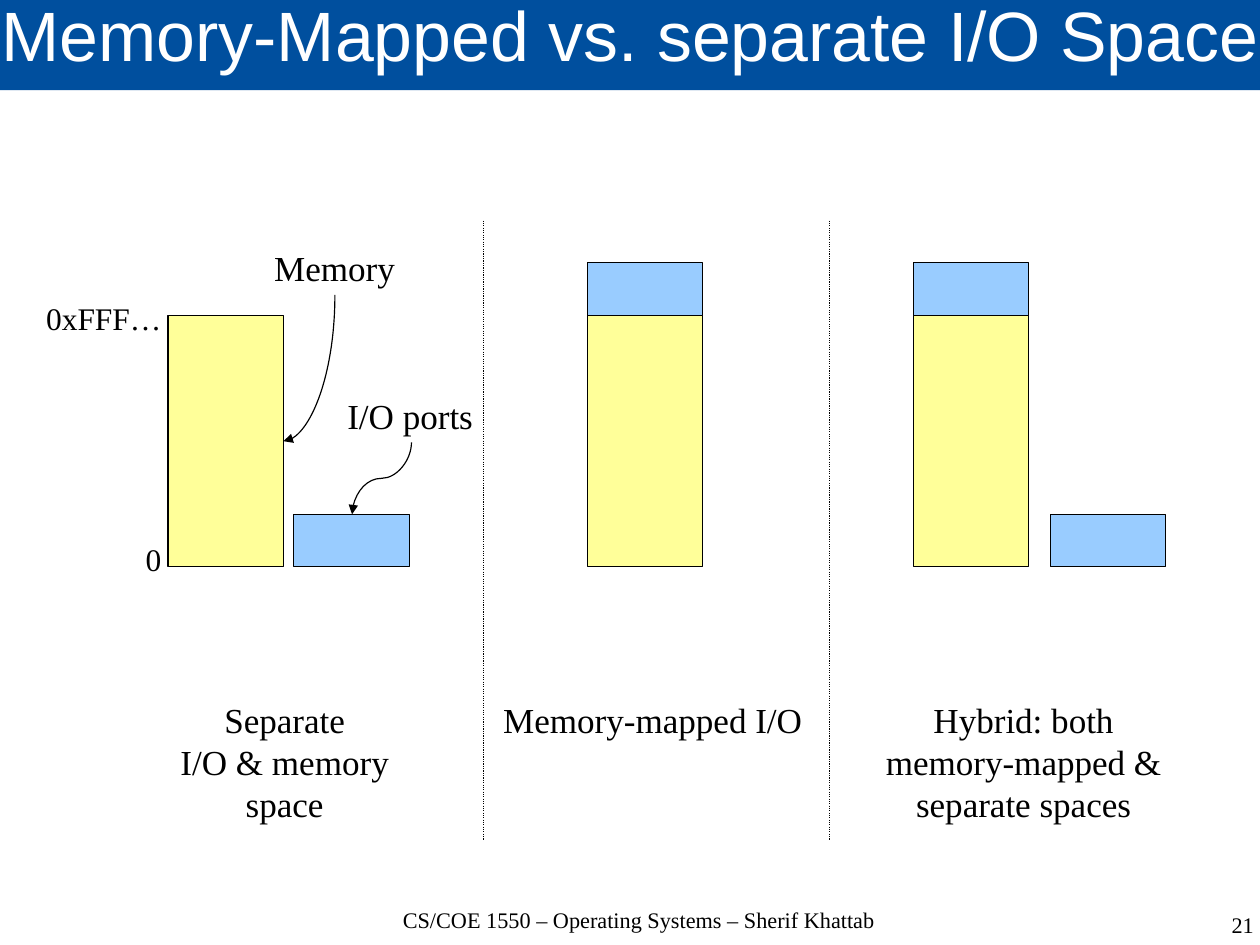
from dataclasses import dataclass

import lxml.etree
import pptx
import pptx.dml.color
import pptx.enum.dml
import pptx.enum.shapes
import pptx.enum.text
import pptx.oxml.ns
import pptx.util

Inches = pptx.util.Inches
Align = pptx.enum.text.PP_ALIGN
Connector = pptx.enum.shapes.MSO_CONNECTOR

COLOURS = {
    "banner": "004F9E",
    "banner text": "FFFFFF",
    "ink": "000000",
    "memory": "FFFF99",
    "ports": "99CCFF",
}
# The page is 28 by 21 centimetres
CM_PER_INCH = 2.54
PAGE_WIDTH, PAGE_HEIGHT = 28 / CM_PER_INCH, 21 / CM_PER_INCH

BLOCK_WIDTH = 1.01
MEMORY_TOP, MEMORY_HEIGHT = 2.76, 2.2
PORTS_HEIGHT = 0.46
MAPPED_TOP = MEMORY_TOP - PORTS_HEIGHT
SEPARATE_TOP = MEMORY_TOP + MEMORY_HEIGHT - PORTS_HEIGHT
CAPTION_TOP = 6.06
DIVIDER_TOP, DIVIDER_BOTTOM = 1.93, 7.35


@dataclass
class Block:
    left: float
    top: float
    height: float
    colour: str


@dataclass
class Label:
    text: str
    left: float
    top: float
    width: float
    height: float
    size: float = 22.1
    align: Align = Align.CENTER
    footer: bool = False


@dataclass
class Pointer:
    preset: str
    start: tuple[float, float]
    end: tuple[float, float]


def rgb(name: str) -> pptx.dml.color.RGBColor:
    return pptx.dml.color.RGBColor.from_string(COLOURS[name])


def style_font(paragraph, name: str, size: float, colour: str) -> None:
    paragraph.font.name = name
    paragraph.font.size = pptx.util.Pt(size)
    paragraph.font.color.rgb = rgb(colour)


def clear_margins(frame) -> None:
    frame.margin_left = frame.margin_right = 0
    frame.margin_top = frame.margin_bottom = 0


def draw_block(shapes, block: Block) -> None:
    rectangle = shapes.add_shape(
        pptx.enum.shapes.MSO_SHAPE.RECTANGLE,
        Inches(block.left), Inches(block.top),
        Inches(BLOCK_WIDTH), Inches(block.height))
    rectangle.shadow.inherit = False
    rectangle.fill.solid()
    rectangle.fill.fore_color.rgb = rgb(block.colour)
    rectangle.line.color.rgb = rgb("ink")
    rectangle.line.width = pptx.util.Pt(0.75)


def draw_label(shapes, label: Label) -> None:
    frame = shapes.add_textbox(
        Inches(label.left), Inches(label.top),
        Inches(label.width), Inches(label.height)).text_frame
    frame.word_wrap = label.footer
    paragraph = frame.paragraphs[0]
    paragraph.text = label.text
    paragraph.alignment = label.align
    if label.footer:
        clear_margins(frame)
        paragraph.line_spacing = 0.96
    else:
        frame.auto_size = pptx.enum.text.MSO_AUTO_SIZE.SHAPE_TO_FIT_TEXT
    style_font(paragraph, "Times New Roman", label.size, "ink")


def add_line(shapes, kind: Connector, x1: float, y1: float, x2: float, y2: float):
    line = shapes.add_connector(kind, Inches(x1), Inches(y1), Inches(x2), Inches(y2))
    line.line.color.rgb = rgb("ink")
    line.line.width = pptx.util.Pt(0.75)
    return line


def remove_shadow(line) -> None:
    lxml.etree.SubElement(line._element.spPr, pptx.oxml.ns.qn("a:effectLst"))


def draw_divider(shapes, x: float) -> None:
    divider = add_line(shapes, Connector.STRAIGHT, x, DIVIDER_TOP, x, DIVIDER_BOTTOM)
    divider.line.dash_style = pptx.enum.dml.MSO_LINE.ROUND_DOT
    remove_shadow(divider)


def draw_pointer(shapes, pointer: Pointer) -> None:
    """Draw a curve that leaves its start downwards: a quarter turn of a level one."""
    (x1, y1), (x2, y2) = pointer.start, pointer.end
    centre_x, centre_y = (x1 + x2) / 2, (y1 + y2) / 2
    half_run, half_rise = (y2 - y1) / 2, (x1 - x2) / 2
    curve = add_line(shapes, Connector.CURVE,
                     centre_x - half_run, centre_y - half_rise,
                     centre_x + half_run, centre_y + half_rise)
    properties = curve._element.spPr
    properties.find(pptx.oxml.ns.qn("a:xfrm")).set("rot", str(90 * 60000))
    properties.find(pptx.oxml.ns.qn("a:prstGeom")).set("prst", pointer.preset)
    outline = properties.find(pptx.oxml.ns.qn("a:ln"))
    lxml.etree.SubElement(outline, pptx.oxml.ns.qn("a:tailEnd"), type="triangle")
    remove_shadow(curve)


def draw_title(title) -> None:
    title.left, title.top = 0, Inches(-0.02)
    title.width, title.height = Inches(11.04), Inches(0.81)
    title.fill.solid()
    title.fill.fore_color.rgb = rgb("banner")
    frame = title.text_frame
    clear_margins(frame)
    frame.auto_size = pptx.enum.text.MSO_AUTO_SIZE.NONE
    frame.vertical_anchor = pptx.enum.text.MSO_ANCHOR.MIDDLE
    heading = frame.paragraphs[0]
    heading.text = "Memory-Mapped vs. separate I/O Space"
    heading.alignment = Align.CENTER
    heading.line_spacing = 0.69
    style_font(heading, "Arial", 44, "banner text")


# Memory columns, and port blocks above or beside them
BLOCKS = [
    *(Block(left, MEMORY_TOP, MEMORY_HEIGHT, "memory") for left in (1.47, 5.14, 7.99)),
    *(Block(left, MAPPED_TOP, PORTS_HEIGHT, "ports") for left in (5.14, 7.99)),
    *(Block(left, SEPARATE_TOP, PORTS_HEIGHT, "ports") for left in (2.57, 9.19)),
]

LABELS = [
    # Captions
    Label("Separate\vI/O & memory\vspace", 1.47, CAPTION_TOP, 2.04, 1.21),
    Label("Memory-mapped I/O", 4.29, CAPTION_TOP, 2.84, 0.47),
    Label("Hybrid: both\vmemory-mapped &\vseparate spaces", 7.64, CAPTION_TOP, 2.63, 1.21),
    # Addresses
    Label("0xFFF…", 0.29, 2.57, 1.22, 0.43, 19.8, Align.RIGHT),
    Label("0", 1.17, 4.68, 0.34, 0.43, 19.8, Align.RIGHT),
    # Block names
    Label("Memory", 2.3, 2.11, 1.27, 0.47, align=Align.LEFT),
    Label("I/O ports", 2.94, 3.4, 1.31, 0.47, align=Align.LEFT),
    # Footer and page number
    Label("CS/COE 1550 – Operating Systems – Sherif Khattab",
          3.07, 7.94, 5.04, 0.55, 14, footer=True),
    Label("21", 8.44, 7.99, 2.53, 0.55, 14, Align.RIGHT, footer=True),
]

POINTERS = [
    Pointer("curvedConnector2", (2.93, 2.58), (2.48, 3.86)),
    Pointer("curvedConnector3", (3.6, 3.87), (3.08, 4.5)),
]


def main() -> None:
    deck = pptx.Presentation()
    deck.slide_width = Inches(PAGE_WIDTH)
    deck.slide_height = Inches(PAGE_HEIGHT)
    shapes = deck.slides.add_slide(deck.slide_layouts.get_by_name("Title Only")).shapes

    draw_title(shapes.title)
    for block in BLOCKS:
        draw_block(shapes, block)
    for label in LABELS:
        draw_label(shapes, label)
    for pointer in POINTERS:
        draw_pointer(shapes, pointer)
    for x in (4.23, 7.26):
        draw_divider(shapes, x)

    deck.save("out.pptx")


if __name__ == "__main__":
    main()
